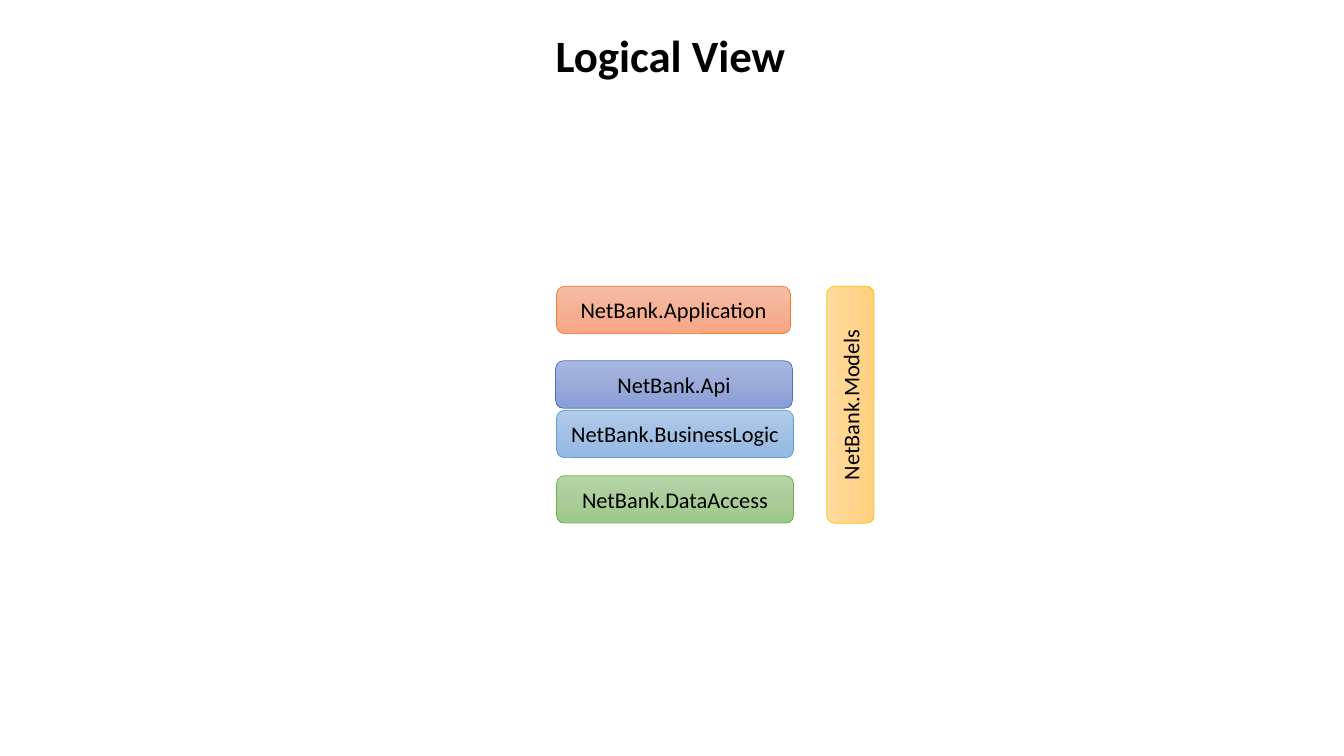
import copy
import dataclasses

import pptx
import pptx.dml.color
import pptx.enum.shapes
import pptx.enum.text
import pptx.oxml.ns
import pptx.util

Inches = pptx.util.Inches
RGB = pptx.dml.color.RGBColor.from_string
TEXT = pptx.enum.text


@dataclasses.dataclass(frozen=True)
class Theme:
    font: str = "Calibri"
    ink: str = "000000"
    title_size: int = 32
    layer_size: int = 16
    outline_width: float = 0.5
    # Each palette: three gradient colours from top to bottom, then the outline
    orange: tuple = ("F7BDA5", "F5B196", "F8A582", "ED7D31")
    indigo: tuple = ("A8B7DF", "9AABD9", "889ED7", "4472C4")
    blue: tuple = ("B1CBE9", "A3C1E5", "93B9E4", "5B9BD5")
    green: tuple = ("B5D5A7", "AACE9A", "9CC987", "70AD47")
    gold: tuple = ("FFDB9E", "FFD590", "FFD07C", "FFC000")


THEME = Theme()
LAYER_HEIGHT = 0.47

# Label, offset from the stack's left and top, width, palette
LAYERS = [
    ("NetBank.Application", 0.01, 0, 2.32, THEME.orange),
    ("NetBank.Api", 0, 0.74, 2.35, THEME.indigo),
    ("NetBank.BusinessLogic", 0.01, 1.23, 2.35, THEME.blue),
    ("NetBank.DataAccess", 0.01, 1.88, 2.35, THEME.green),
]


def apply(target, formats):
    for attribute, value in formats.items():
        setattr(target, attribute, value)


def write(frame, words, size, alignment, frame_format, bold=False):
    apply(frame, frame_format)
    paragraph = frame.paragraphs[0]
    paragraph.alignment = alignment
    run = paragraph.add_run()
    run.text = words
    apply(run.font, {"name": THEME.font, "size": pptx.util.Pt(size), "bold": bold})
    run.font.color.rgb = RGB(THEME.ink)


def fill_gradient(block, colours):
    block.fill.gradient()
    block.fill.gradient_angle = 270
    # A new gradient has two stops, so add the middle one
    stop_list = block.element.spPr.find(".//" + pptx.oxml.ns.qn("a:gsLst"))
    stop_list.insert(1, copy.deepcopy(stop_list[0]))
    for stop, position, colour in zip(block.fill.gradient_stops, (0, 0.5, 1), colours):
        stop.position = position
        stop.color.rgb = RGB(colour)


def add_title(slide, left, top, width, height):
    title = slide.shapes.title
    apply(title, {"left": Inches(left), "top": Inches(top),
                  "width": Inches(width), "height": Inches(height)})
    write(title.text_frame, "Logical View", THEME.title_size, TEXT.PP_ALIGN.LEFT,
          {"word_wrap": False, "auto_size": TEXT.MSO_AUTO_SIZE.SHAPE_TO_FIT_TEXT,
           "vertical_anchor": TEXT.MSO_ANCHOR.TOP}, bold=True)


def add_layer(slide, label, left, top, width, height, palette):
    block = slide.shapes.add_shape(
        pptx.enum.shapes.MSO_SHAPE.ROUNDED_RECTANGLE,
        Inches(left), Inches(top), Inches(width), Inches(height))
    block.shadow.inherit = False
    fill_gradient(block, palette[:3])
    block.line.color.rgb = RGB(palette[3])
    block.line.width = pptx.util.Pt(THEME.outline_width)
    write(block.text_frame, label, THEME.layer_size, TEXT.PP_ALIGN.CENTER,
          {"word_wrap": True, "vertical_anchor": TEXT.MSO_ANCHOR.MIDDLE})
    return block


def add_layer_stack(slide, left, top):
    for label, shift, drop, width, palette in LAYERS:
        add_layer(slide, label, left + shift, top + drop, width, LAYER_HEIGHT, palette)


def add_shared_models(slide, left, top, width, height):
    # Laid flat around the centre of its box, then turned upright
    models = add_layer(slide, "NetBank.Models", left + (width - height) / 2,
                       top + (height - width) / 2, height, width, THEME.gold)
    models.rotation = 270


def main():
    deck = pptx.Presentation()
    apply(deck, {"slide_width": Inches(13.33), "slide_height": Inches(7.5)})
    slide = deck.slides.add_slide(deck.slide_layouts.get_by_name("Title Only"))
    add_title(slide, 5.41, 0.22, 2.51, 0.64)
    add_layer_stack(slide, 5.51, 2.84)
    add_shared_models(slide, 8.2, 2.84, LAYER_HEIGHT, 2.35)
    deck.save("out.pptx")


if __name__ == "__main__":
    main()
